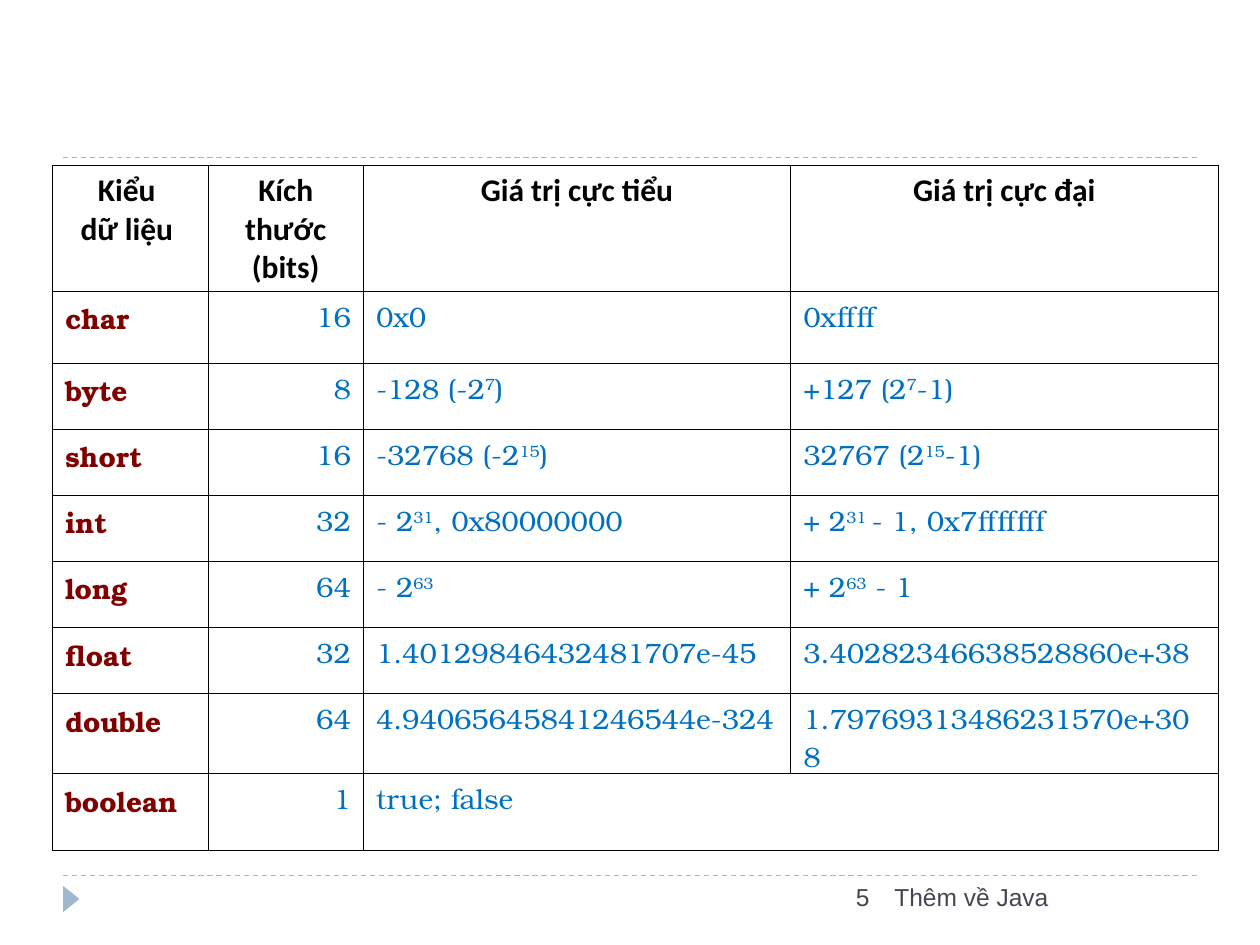
from lxml import etree
from pptx import Presentation
from pptx.dml.color import RGBColor
from pptx.enum.dml import MSO_LINE
from pptx.enum.shapes import MSO_CONNECTOR, MSO_SHAPE
from pptx.enum.text import PP_ALIGN
from pptx.oxml import parse_xml
from pptx.oxml.ns import nsdecls, qn
from pptx.util import Pt

LEFT, CENTER, RIGHT = PP_ALIGN.LEFT, PP_ALIGN.CENTER, PP_ALIGN.RIGHT
DASH, STRAIGHT, TRIANGLE = MSO_LINE.DASH, MSO_CONNECTOR.STRAIGHT, MSO_SHAPE.ISOSCELES_TRIANGLE

BLACK = RGBColor(0x00, 0x00, 0x00)
MAROON = RGBColor(0x80, 0x00, 0x00)
BLUE = RGBColor(0x00, 0x70, 0xC0)
PALE_BLUE = RGBColor(0x9F, 0xB8, 0xCD)
SLATE = RGBColor(0x46, 0x46, 0x53)

HEADER = {"name": "Calibri", "size": Pt(18), "bold": True}
TYPE_NAME = {"name": "TeX Gyre Bonum", "size": Pt(16), "bold": True}
VALUE = {"name": "TeX Gyre Bonum", "size": Pt(16), "bold": False}
FOOTER = {"name": "Arial", "size": Pt(14), "bold": False}


def write(frame, text, font_format, color, align):
    """Fill a text frame; text between two ^ marks is superscript."""
    for i, line in enumerate(text.split("\n")):
        paragraph = frame.paragraphs[0] if i == 0 else frame.add_paragraph()
        paragraph.alignment = align
        for j, piece in enumerate(line.split("^")):
            if not piece:
                continue
            run = paragraph.add_run()
            run.text = piece
            for attribute, value in font_format.items():
                setattr(run.font, attribute, value)
            run.font.color.rgb = color
            if j % 2:
                run._r.get_or_add_rPr().set("baseline", "30000")


def draw_borders(cell):
    """Give a cell thin black edges on all four sides."""
    properties = cell._tc.get_or_add_tcPr()
    for i, side in enumerate(("lnL", "lnR", "lnT", "lnB")):
        properties.insert(i, parse_xml(
            f'<a:{side} {nsdecls("a")} w="{Pt(0.45)}"><a:solidFill>'
            f'<a:srgbClr val="{BLACK}"/></a:solidFill></a:{side}>'))


prs = Presentation()
prs.slide_width, prs.slide_height = Pt(720), Pt(540)
slide = prs.slides.add_slide(prs.slide_layouts[6])

# Dashed rules above the table and above the footer
for y in (500.4, 90):
    rule = slide.shapes.add_connector(STRAIGHT, Pt(36), Pt(y), Pt(684), Pt(y))
    rule.line.color.rgb = PALE_BLUE
    rule.line.width = Pt(0.75)
    rule.line.dash_style = DASH
    etree.SubElement(rule._element.spPr, qn("a:effectLst"))

# Footer marker
marker = slide.shapes.add_shape(TRIANGLE, Pt(33.12), Pt(509.04), Pt(15.12), Pt(9.36))
marker.rotation = 90
marker.shadow.inherit = False
marker.fill.solid()
marker.fill.fore_color.rgb = PALE_BLUE
marker.line.fill.background()

# Footer title and page number
for text, left, width, align in (("Thêm về Java", 504, 180, LEFT),
                                 ("5", 228.24, 275.76, RIGHT)):
    footer = slide.shapes.add_textbox(Pt(left), Pt(500.4), Pt(width), Pt(28.8))
    footer.text_frame.word_wrap = True
    write(footer.text_frame, text, FOOTER, SLATE, align)

# Table of the primitive data types
rows = [
    ("Kiểu \ndữ liệu ", "Kích thước (bits)", "Giá trị cực tiểu", "Giá trị cực đại"),
    ("char", "16", "0x0", "0xffff"),
    ("byte", "8", "-128 (-2^7^)", "+127 (2^7^-1)"),
    ("short", "16", "-32768 (-2^15^)", "32767 (2^15^-1)"),
    ("int", "32", "- 2^31^, 0x80000000", "+ 2^31 ^- 1, 0x7fffffff"),
    ("long", "64", "- 2^63^", "+ 2^63^ - 1"),
    ("float", "32", "1.40129846432481707e-45", "3.40282346638528860e+38"),
    ("double", "64", "4.94065645841246544e-324", "1.79769313486231570e+308"),
    ("boolean", "1", "true; false", ""),
]
column_widths = [88.8, 88.8, 244.2, 244.2]
row_heights = [72, 41] + [37.8] * 5 + [45.4, 44]
column_styles = [(TYPE_NAME, MAROON, LEFT), (VALUE, BLUE, RIGHT),
                 (VALUE, BLUE, LEFT), (VALUE, BLUE, LEFT)]

types_table = slide.shapes.add_table(
    len(rows), len(column_widths), Pt(30.1), Pt(94.5),
    Pt(sum(column_widths)), Pt(sum(row_heights))).table
types_table.first_row = False
types_table.horz_banding = False
for column, width in zip(types_table.columns, column_widths):
    column.width = Pt(width)

for r, (texts, height) in enumerate(zip(rows, row_heights)):
    types_table.rows[r].height = Pt(height)
    for c, text in enumerate(texts):
        cell = types_table.cell(r, c)
        cell.fill.background()
        draw_borders(cell)
        style = (HEADER, BLACK, CENTER) if r == 0 else column_styles[c]
        write(cell.text_frame, text, *style)

# The boolean values span both limit columns
last_row = len(rows) - 1
types_table.cell(last_row, 2).merge(types_table.cell(last_row, 3))
for c in (1, 2):
    types_table.cell(last_row, c).text_frame.paragraphs[0].space_before = Pt(4)

prs.save("out.pptx")
